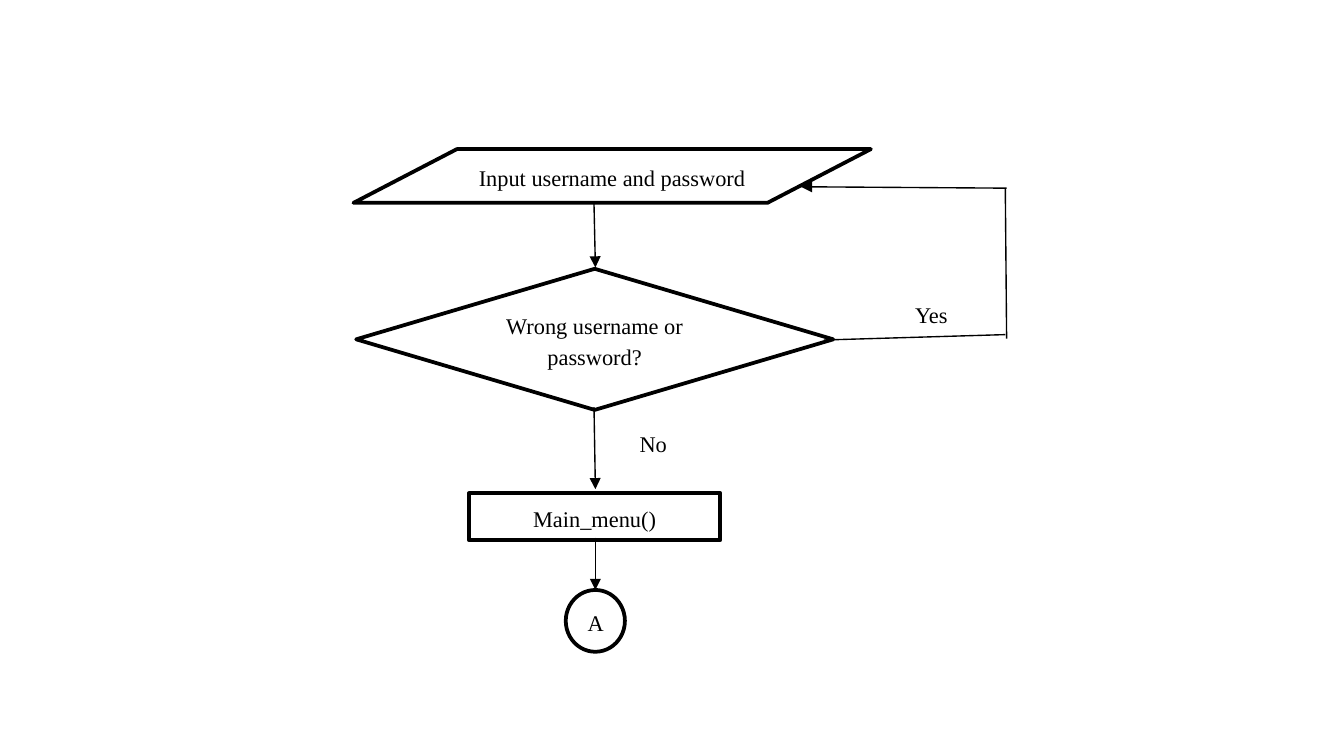
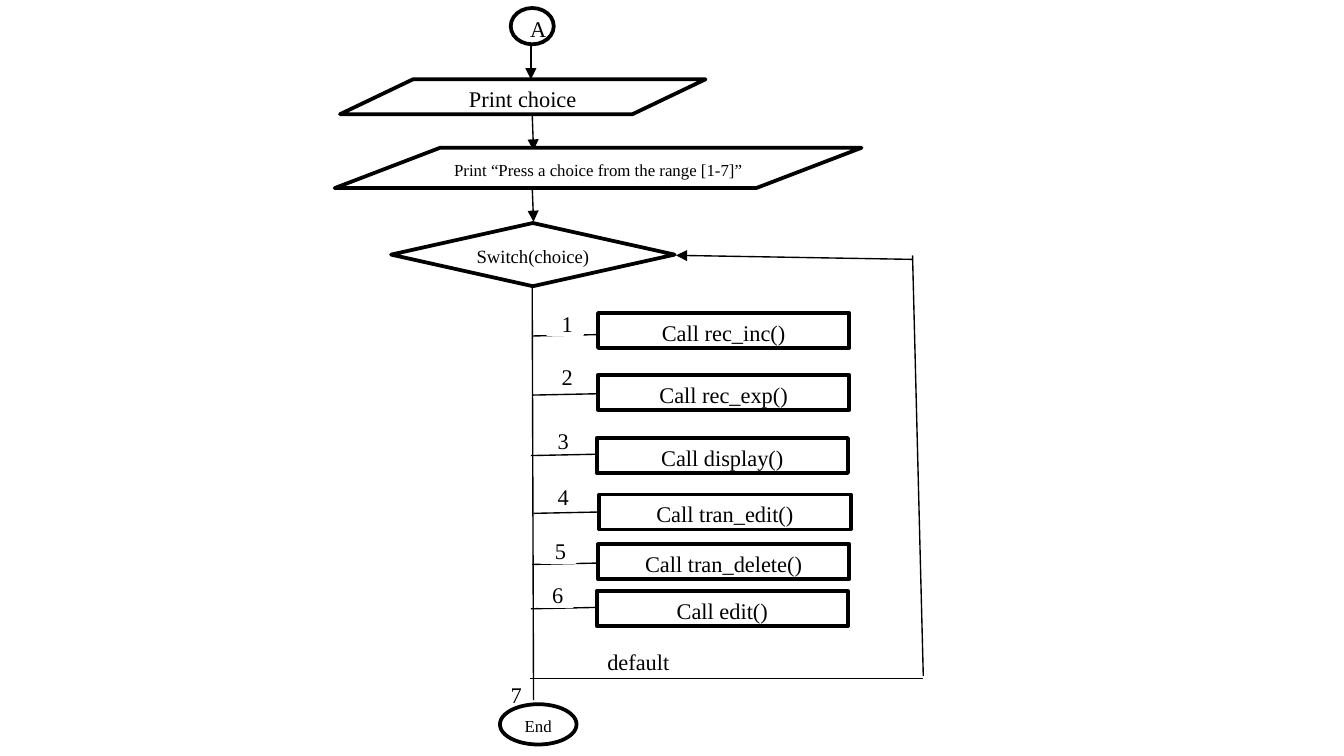
from dataclasses import dataclass

from lxml import etree
from pptx import Presentation
from pptx.dml.color import RGBColor
from pptx.enum.shapes import MSO_CONNECTOR, MSO_SHAPE
from pptx.enum.text import MSO_ANCHOR, PP_ALIGN
from pptx.oxml.ns import qn
from pptx.util import Inches, Pt

PROCESS = MSO_SHAPE.RECTANGLE
DATA = MSO_SHAPE.FLOWCHART_DATA
DECISION = MSO_SHAPE.DIAMOND
JUNCTION = MSO_SHAPE.FLOWCHART_CONNECTOR
TERMINAL = MSO_SHAPE.OVAL
STRAIGHT = MSO_CONNECTOR.STRAIGHT
MIDDLE = MSO_ANCHOR.MIDDLE
CENTER = PP_ALIGN.CENTER

SLIDE_WIDTH = Inches(10)
SLIDE_HEIGHT = SLIDE_WIDTH * 9 // 16
COLUMNS = 100
BLANK_LAYOUT = 6


@dataclass(frozen=True)
class Theme:
    ink: RGBColor = RGBColor(0, 0, 0)
    paper: RGBColor = RGBColor(255, 255, 255)
    font: str = "Times New Roman"
    body: float = 12
    compact: float = 10
    small: float = 9
    outline: float = 2
    flow_line: float = 0.75
    line_spacing: float = 1.15
    space_after: float = 10


def write_text(shape, text, *, font, size, color, line_spacing, space_after):
    frame = shape.text_frame
    frame.word_wrap = True
    frame.vertical_anchor = MIDDLE
    paragraph = frame.paragraphs[0]
    paragraph.alignment = CENTER
    paragraph.line_spacing = line_spacing
    paragraph.space_after = Pt(space_after)
    run = paragraph.add_run()
    run.text = text
    run.font.name = font
    run.font.size = Pt(size)
    run.font.color.rgb = color


class Flowchart:
    """Draws on the current slide; lengths are in cells of a square grid."""

    def __init__(self, presentation, theme):
        self.presentation = presentation
        self.theme = theme
        self.cell = presentation.slide_width / COLUMNS
        self.slide = None

    def new_slide(self):
        layout = self.presentation.slide_layouts[BLANK_LAYOUT]
        self.slide = self.presentation.slides.add_slide(layout)
        fill = self.slide.background.fill
        fill.solid()
        fill.fore_color.rgb = self.theme.paper

    def grid(self, *lengths):
        return [round(length * self.cell) for length in lengths]

    def node(self, kind, text, left, top, width, height, size=None, outline=None):
        theme = self.theme
        shape = self.slide.shapes.add_shape(kind, *self.grid(left, top, width, height))
        shape.shadow.inherit = False
        shape.fill.solid()
        shape.fill.fore_color.rgb = theme.paper
        shape.line.color.rgb = outline or theme.ink
        shape.line.width = Pt(theme.outline)
        write_text(shape, text, font=theme.font, size=size or theme.body,
                   color=theme.ink, line_spacing=theme.line_spacing,
                   space_after=theme.space_after)

    def label(self, text, left, top, width=2.5, height=2):
        self.node(PROCESS, text, left, top, width, height, outline=self.theme.paper)

    def line(self, start, end, arrow=False):
        connector = self.slide.shapes.add_connector(STRAIGHT, *self.grid(*start, *end))
        connector.line.color.rgb = self.theme.ink
        connector.line.width = Pt(self.theme.flow_line)
        properties = connector._element.spPr
        if arrow:
            etree.SubElement(properties.find(qn("a:ln")), qn("a:tailEnd"), type="triangle")
        etree.SubElement(properties, qn("a:effectLst"))

    def arrow(self, start, end):
        self.line(start, end, arrow=True)


def draw_login(chart):
    chart.new_slide()
    chart.arrow((44.2, 15.2), (44.3, 19.9))
    chart.node(DATA, "Input username and password", 26.3, 11.1, 38.5, 4)
    chart.node(DECISION, "Wrong username or password?", 26.5, 20, 35.5, 10.5)

    chart.line((61.3, 25.3), (74.8, 24.9))
    chart.line((74.9, 25.2), (74.8, 14))
    chart.arrow((74.9, 14), (59.6, 13.9))
    chart.label("Yes", 66.1, 21.8, 6.4, 2.9)

    chart.arrow((44.2, 30.3), (44.3, 36.4))
    chart.label("No", 45.4, 31.4, 6.4, 2.9)
    chart.node(PROCESS, "Main_menu()", 34.9, 36.7, 18.7, 3.5)
    chart.arrow((44.3, 40), (44.3, 43.9))
    chart.node(JUNCTION, "A", 42.1, 43.9, 4.4, 4.6)


def draw_menu(chart):
    theme = chart.theme
    chart.new_slide()
    chart.label("7", 37, 50.5)
    chart.node(JUNCTION, "A", 38, 0.6, 3.2, 2.7)
    chart.arrow((39.5, 3.3), (39.5, 5.9))
    chart.node(DATA, "Print choice", 25.3, 5.9, 27.2, 2.6)
    chart.arrow((39.6, 8.5), (39.7, 11.2))
    chart.node(DATA, "Print “Press a choice from the range [1-7]”",
               24.9, 11, 39.2, 3, size=theme.small)
    chart.arrow((39.6, 13.9), (39.7, 16.5))
    chart.node(DECISION, "Switch(choice)", 29.1, 16.6, 21.1, 4.7, size=theme.compact)
    chart.line((39.6, 21.3), (39.7, 52.1))

    # Function, box left, box top, branch height, label left, label top
    cases = [
        ("rec_inc", 44.5, 23.3, 25, 40.8, 22.9),
        ("rec_exp", 44.5, 27.9, 29.4, 40.8, 26.9),
        ("display", 44.4, 32.6, 33.9, 40.5, 31.6),
        ("tran_edit", 44.6, 36.8, 38.2, 40.5, 35.8),
        ("tran_delete", 44.5, 40.5, 42, 40.3, 39.8),
        ("edit", 44.4, 44, 45.3, 40.1, 43.1),
    ]
    for number, (function, left, top, branch, label_left, label_top) in enumerate(cases, 1):
        chart.line((left - 4.9, branch), (left - 0.1, branch - 0.1))
        chart.node(PROCESS, f"Call {function}()", left, top, 18.7, 2.6)
        chart.label(str(number), label_left, label_top)

    chart.line((39.4, 50.5), (68.7, 50.5))
    chart.line((68.7, 50.3), (67.9, 19))
    chart.arrow((67.9, 19.3), (50.3, 19))
    chart.label("default", 41.2, 48, 12.6, 2.1)
    chart.node(TERMINAL, "End", 37.2, 52.4, 5.7, 3, size=theme.small)


def main():
    presentation = Presentation()
    presentation.slide_width = SLIDE_WIDTH
    presentation.slide_height = SLIDE_HEIGHT
    chart = Flowchart(presentation, Theme())
    draw_login(chart)
    draw_menu(chart)
    presentation.save("out.pptx")


if __name__ == "__main__":
    main()
